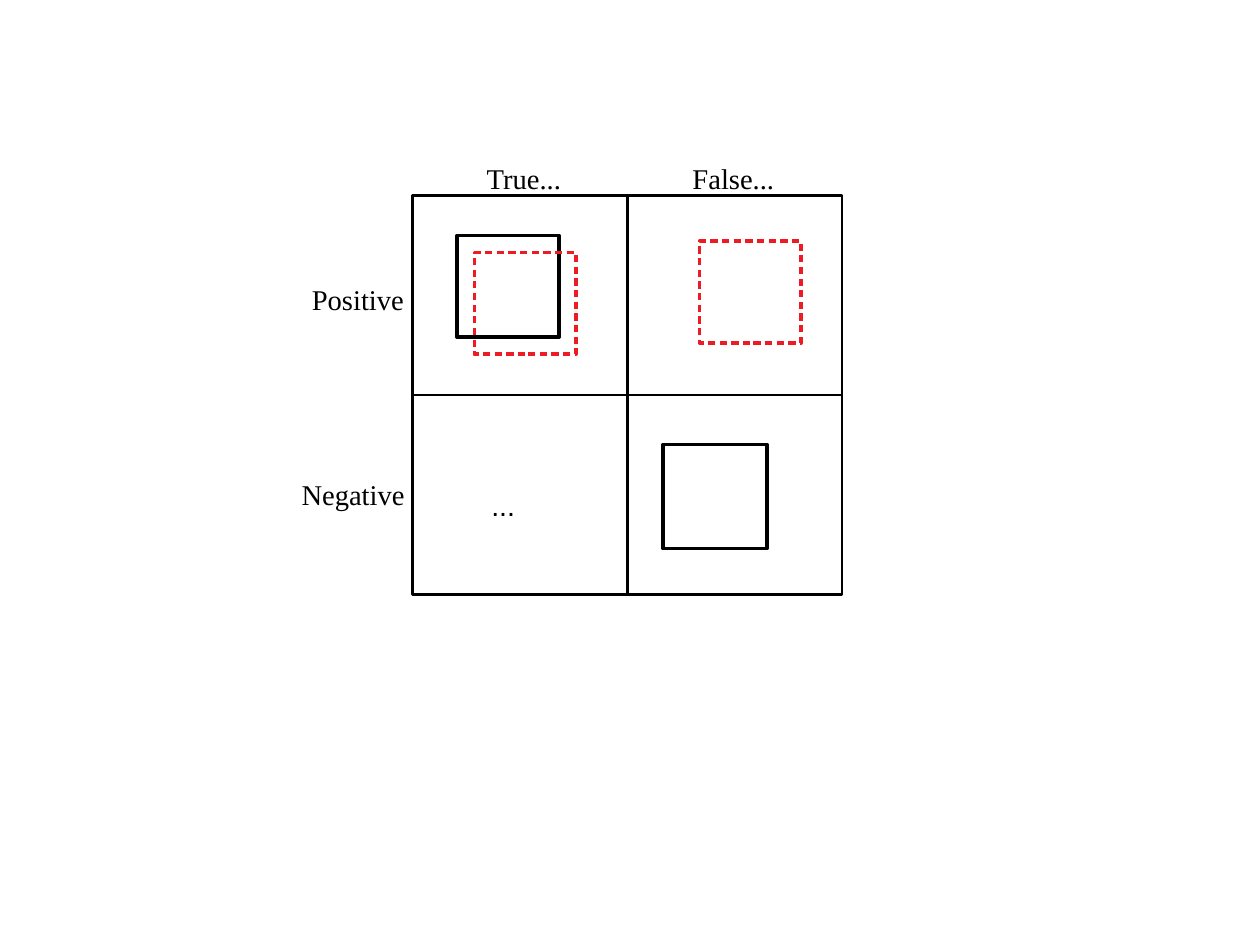
"""Build a detection-outcome matrix of true and false positives and negatives."""
from dataclasses import dataclass

from lxml import etree
from pptx import Presentation
from pptx.dml.color import RGBColor
from pptx.enum.shapes import MSO_CONNECTOR, MSO_SHAPE
from pptx.enum.text import MSO_ANCHOR, MSO_AUTO_SIZE, PP_ALIGN
from pptx.oxml.ns import qn
from pptx.shapes.autoshape import Shape
from pptx.slide import Slide
from pptx.util import Inches, Pt

RECTANGLE = MSO_SHAPE.RECTANGLE
STRAIGHT = MSO_CONNECTOR.STRAIGHT
TOP = MSO_ANCHOR.TOP
LEFT = PP_ALIGN.LEFT
GROW = MSO_AUTO_SIZE.SHAPE_TO_FIT_TEXT

COLORS = {"black": "000000", "red": "ED1C24", "white": "FFFFFF"}
TOP_SIDE, LEFT_SIDE, BOTTOM_SIDE, RIGHT_SIDE = range(4)
CM_PER_INCH = 2.54


@dataclass(frozen=True)
class Box:
    left: float
    top: float
    width: float
    height: float
    color: str = "black"
    weight: float = 2.3
    dashed: bool = False


@dataclass(frozen=True)
class Label:
    text: str
    left: float
    top: float
    width: float
    font: str = "Times New Roman"
    filled: bool = True


DETECTIONS = (
    Box(4, 2.06, 0.89, 0.89),
    Box(4.15, 2.21, 0.89, 0.89, color="red", dashed=True),
    Box(6.12, 2.11, 0.89, 0.89, color="red", dashed=True),
    Box(5.8, 3.89, 0.91, 0.91),
)
MATRIX = Box(3.61, 1.71, 3.76, 3.49, weight=1.5)
LABELS = (
    Label("True...", 4.16, 1.36, 0.85),
    Label("False...", 5.96, 1.36, 0.92),
    Label("Positive", 2.63, 2.42, 1.01),
    Label("Negative", 2.54, 4.12, 1.1),
    Label("...", 4.2, 4.22, 0.41, font="Arial", filled=False),
)


def rgb(name: str) -> RGBColor:
    """Return the named color."""
    return RGBColor.from_string(COLORS[name])


def draw_box(slide: Slide, box: Box) -> Shape:
    """Draw an unfilled outline, solid or dashed."""
    outline = slide.shapes.add_shape(
        RECTANGLE, Inches(box.left), Inches(box.top), Inches(box.width), Inches(box.height)
    )
    outline.shadow.inherit = False
    outline.fill.background()
    outline.line.color.rgb = rgb(box.color)
    outline.line.width = Pt(box.weight)
    if box.dashed:
        pattern = etree.SubElement(outline.line._get_or_add_ln(), qn("a:custDash"))
        etree.SubElement(pattern, qn("a:ds"), d="200000", sp="120000")
    return outline


def write_text(shape: Shape, text: str, *, font: str, wrap: bool,
               size: float = 18, color: str = "black") -> None:
    """Write left-aligned text from the top of a shape that fits it."""
    frame = shape.text_frame
    frame.word_wrap = wrap
    frame.auto_size = GROW
    frame.vertical_anchor = TOP
    paragraph = frame.paragraphs[0]
    paragraph.alignment = LEFT
    run = paragraph.add_run()
    run.text = text
    run.font.name = font
    run.font.size = Pt(size)
    run.font.color.rgb = rgb(color)


def draw_label(slide: Slide, label: Label) -> None:
    """Draw a row, column or cell label."""
    bounds = (Inches(label.left), Inches(label.top), Inches(label.width), Inches(0.38))
    if label.filled:
        caption = slide.shapes.add_shape(RECTANGLE, *bounds)
        caption.shadow.inherit = False
        caption.fill.solid()
        caption.fill.fore_color.rgb = rgb("white")
        caption.line.fill.background()
    else:
        caption = slide.shapes.add_textbox(*bounds)
    write_text(caption, label.text, font=label.font, wrap=not label.filled)


def draw_divider(slide: Slide, matrix: Shape, start: int, end: int) -> None:
    """Join the middles of two sides of the matrix."""
    divider = slide.shapes.add_connector(STRAIGHT, 0, 0, 0, 0)
    divider.begin_connect(matrix, start)
    divider.end_connect(matrix, end)
    divider.line.color.rgb = rgb("black")
    divider.line.width = Pt(MATRIX.weight)
    etree.SubElement(divider._element.spPr, qn("a:effectLst"))


def main() -> None:
    """Build and save the slide."""
    presentation = Presentation()
    presentation.slide_width = Inches(28 / CM_PER_INCH)
    presentation.slide_height = Inches(21 / CM_PER_INCH)
    slide = presentation.slides.add_slide(presentation.slide_layouts[6])
    for detection in DETECTIONS:
        draw_box(slide, detection)
    for label in LABELS:
        draw_label(slide, label)
    matrix = draw_box(slide, MATRIX)
    draw_divider(slide, matrix, TOP_SIDE, BOTTOM_SIDE)
    draw_divider(slide, matrix, LEFT_SIDE, RIGHT_SIDE)
    presentation.save("out.pptx")


if __name__ == "__main__":
    main()
